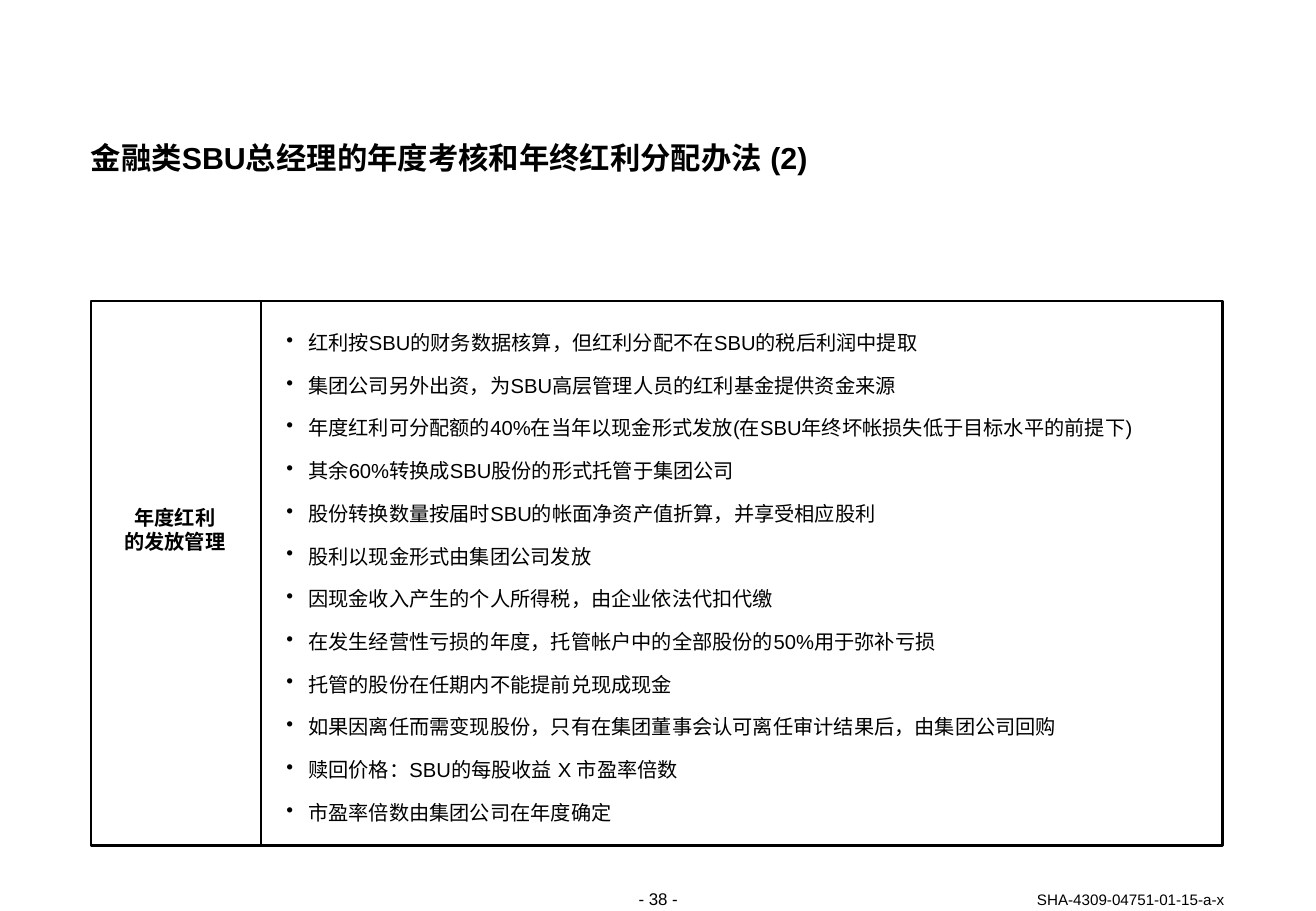
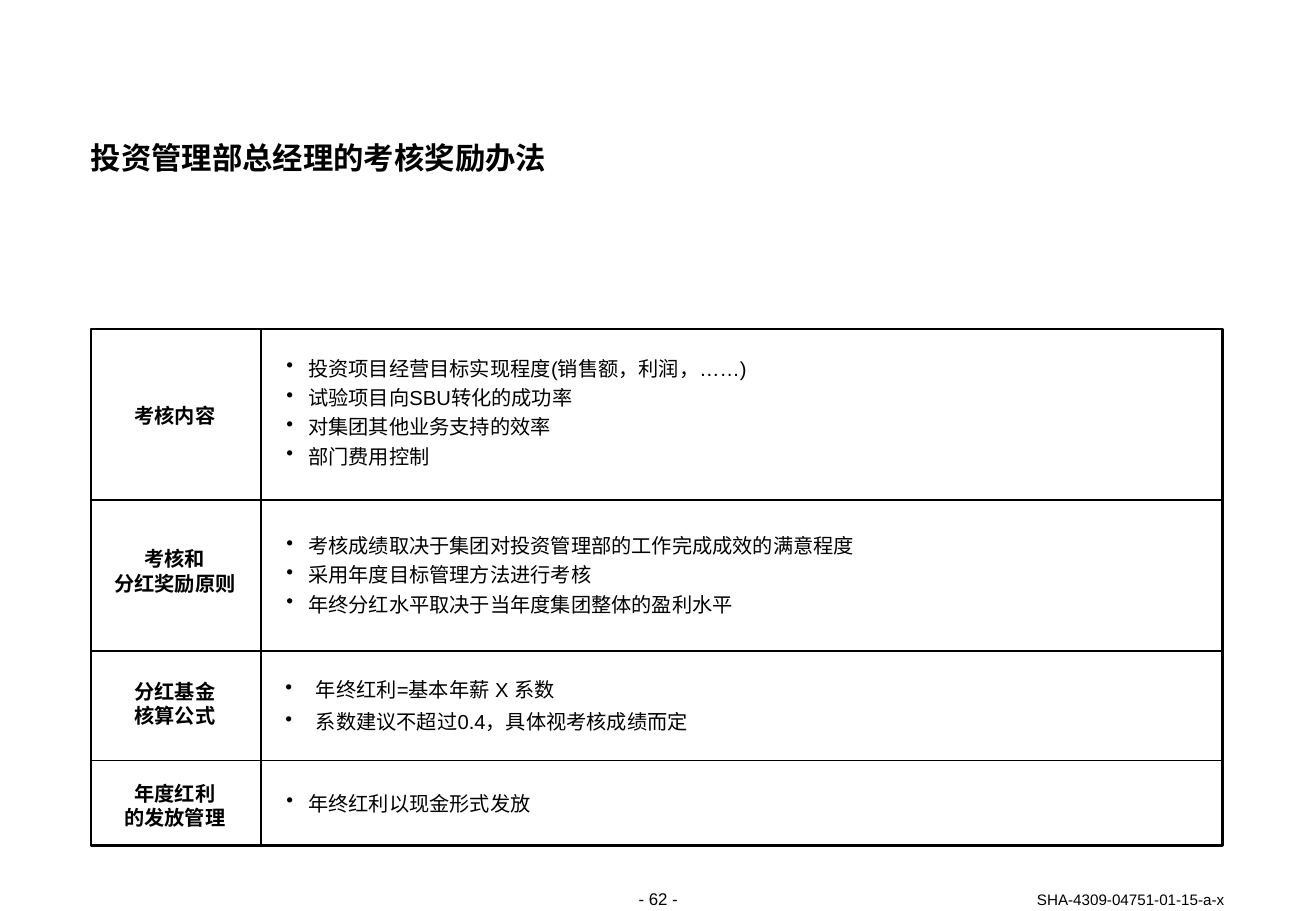
from dataclasses import dataclass

from lxml import etree
from pptx import Presentation
from pptx.dml.color import RGBColor
from pptx.enum.lang import MSO_LANGUAGE_ID
from pptx.enum.shapes import MSO_CONNECTOR, MSO_SHAPE
from pptx.enum.text import MSO_ANCHOR, PP_ALIGN
from pptx.oxml.ns import qn
from pptx.util import Cm, Pt

LEFT, CENTER, RIGHT = PP_ALIGN.LEFT, PP_ALIGN.CENTER, PP_ALIGN.RIGHT
TOP, BOTTOM = MSO_ANCHOR.TOP, MSO_ANCHOR.BOTTOM
STRAIGHT, RECT = MSO_CONNECTOR.STRAIGHT, MSO_SHAPE.RECTANGLE
CHINESE = MSO_LANGUAGE_ID.SIMPLIFIED_CHINESE


@dataclass(frozen=True)
class Theme:
    ink: RGBColor = RGBColor(0, 0, 0)
    paper: RGBColor = RGBColor(255, 255, 255)
    font: str = "Arial"
    title: float = 18
    body: float = 12
    page: float = 10
    code: float = 9
    thick: float = 1.5
    thin: float = 1


@dataclass(frozen=True)
class Box:
    """A place on the slide, in centimetres."""
    left: float
    top: float
    width: float
    height: float


@dataclass(frozen=True)
class Style:
    size: float
    bold: bool = False
    align: PP_ALIGN = LEFT
    anchor: MSO_ANCHOR = TOP
    wrap: bool = True
    pitch: float | Pt | None = None
    gap: float = 0
    indent: float = 0
    hang: float = 0


@dataclass(frozen=True)
class Row:
    """One table band: its top edge, then the tops and texts of both cells."""
    top: float
    head_top: float
    head: str
    list_top: float
    points: tuple[str, ...]
    style: Style


@dataclass(frozen=True)
class Page:
    number: int
    title: str
    split: float
    rows: tuple[Row, ...]


THEME = Theme()
WIDE, HIGH = 27.53, 19.05
EDGE, SPLIT, END, FLOOR = 1.9, 5.46, 25.58, 17.68
HEAD_X, HEAD_W, LIST_X, LIST_W = 2.39, 2.54, 5.97, 19.18
LINE = 0.51
TITLE_BOX = Box(EDGE, 2.97, 23.7, 0.71)
PAGE_BOX = Box(12.32, 18.59, 2.9, 0.43)
CODE_BOX = Box(19.41, 18.62, 6.2, 0.38)
CODE = "SHA-4309-04751-01-15-a-x"

TITLE = Style(THEME.title, bold=True, pitch=Pt(20))
HEAD = Style(THEME.body, bold=True, align=CENTER, wrap=False)
FOOT = Style(THEME.page, align=CENTER)
REF = Style(THEME.code, align=RIGHT, anchor=BOTTOM, pitch=Pt(11))
TIGHT = Style(THEME.body, gap=3, indent=0.48, hang=0.46)
LOOSE = Style(THEME.body, pitch=1.55, gap=3, indent=0.48, hang=0.46)
SUM = Style(THEME.body, pitch=1.3, indent=0.64, hang=0.64)

PAGES = (
    Page(38, "金融类SBU总经理的年度考核和年终红利分配办法 (2)", THEME.thin, (
        Row(6.3, 10.57, "年度红利\n的发放管理", 6.63, (
            "红利按SBU的财务数据核算，但红利分配不在SBU的税后利润中提取",
            "集团公司另外出资，为SBU高层管理人员的红利基金提供资金来源",
            "年度红利可分配额的40%在当年以现金形式发放(在SBU年终坏帐损失低于目标水平的前提下)",
            "其余60%转换成SBU股份的形式托管于集团公司",
            "股份转换数量按届时SBU的帐面净资产值折算，并享受相应股利",
            "股利以现金形式由集团公司发放",
            "因现金收入产生的个人所得税，由企业依法代扣代缴",
            "在发生经营性亏损的年度，托管帐户中的全部股份的50%用于弥补亏损",
            "托管的股份在任期内不能提前兑现成现金",
            "如果因离任而需变现股份，只有在集团董事会认可离任审计结果后，由集团公司回购",
            "赎回价格：SBU的每股收益 X 市盈率倍数",
            "市盈率倍数由集团公司在年度确定",
        ), LOOSE),
    )),
    Page(62, "投资管理部总经理的考核奖励办法", THEME.thick, (
        Row(6.88, 8.43, "考核内容", 7.44, (
            "投资项目经营目标实现程度(销售额，利润，……)",
            "试验项目向SBU转化的成功率",
            "对集团其他业务支持的效率",
            "部门费用控制",
        ), TIGHT),
        Row(10.46, 11.43, "考核和\n分红奖励原则", 11.15, (
            "考核成绩取决于集团对投资管理部的工作完成成效的满意程度",
            "采用年度目标管理方法进行考核",
            "年终分红水平取决于当年度集团整体的盈利水平",
        ), TIGHT),
        Row(13.61, 14.2, "分红基金\n核算公式", 14.02, (
            "年终红利=基本年薪 X 系数",
            "系数建议不超过0.4，具体视考核成绩而定",
        ), SUM),
        Row(15.9, 16.33, "年度红利\n的发放管理", 16.54, (
            "年终红利以现金形式发放",
        ), TIGHT),
    )),
)


def add_bullet(para, style: Style) -> None:
    props = para._p.get_or_add_pPr()
    props.set("marL", str(Cm(style.indent)))
    props.set("indent", str(-Cm(style.hang)))
    tint = etree.SubElement(props, qn("a:buClr"))
    etree.SubElement(tint, qn("a:srgbClr")).set("val", str(THEME.ink))
    etree.SubElement(props, qn("a:buChar")).set("char", "•")


def add_run(para, text: str, style: Style) -> None:
    run = para.add_run()
    run.text = text
    font = run.font
    font.name, font.size, font.bold = THEME.font, Pt(style.size), style.bold
    font.color.rgb = THEME.ink
    font.language_id = CHINESE
    latin = run._r.rPr.find(qn("a:latin"))
    asian = etree.Element(qn("a:ea"))
    asian.set("typeface", THEME.font)
    latin.addnext(asian)


def add_text(slide, box: Box, texts: tuple[str, ...], style: Style) -> None:
    """Writes one paragraph per text; a newline is a line break."""
    shape = slide.shapes.add_textbox(
        Cm(box.left), Cm(box.top), Cm(box.width), Cm(box.height))
    frame = shape.text_frame
    frame.word_wrap, frame.vertical_anchor = style.wrap, style.anchor
    frame.margin_left = frame.margin_right = 0
    frame.margin_top = frame.margin_bottom = 0
    for index, text in enumerate(texts):
        para = frame.add_paragraph() if index else frame.paragraphs[0]
        if style.hang:
            add_bullet(para, style)
        para.alignment = style.align
        if style.pitch:
            para.line_spacing = style.pitch
        if index and style.gap:
            para.space_before = Pt(style.gap)
        for part, words in enumerate(text.split("\n")):
            if part:
                para.add_line_break()
            add_run(para, words, style)


def add_rule(slide, x1: float, y1: float, x2: float, y2: float,
             weight: float) -> None:
    rule = slide.shapes.add_connector(STRAIGHT, Cm(x1), Cm(y1), Cm(x2), Cm(y2))
    rule.line.color.rgb, rule.line.width = THEME.ink, Pt(weight)
    etree.SubElement(rule._element.spPr, qn("a:effectLst"))


def add_grid(slide, page: Page) -> None:
    top = page.rows[0].top
    frame = slide.shapes.add_shape(
        RECT, Cm(EDGE), Cm(top), Cm(END - EDGE), Cm(FLOOR - top))
    frame.shadow.inherit = False
    frame.fill.background()
    frame.line.color.rgb, frame.line.width = THEME.ink, Pt(THEME.thick)
    add_rule(slide, SPLIT, top, SPLIT, FLOOR, page.split)
    for row in page.rows[1:]:
        add_rule(slide, EDGE, row.top, END, row.top, THEME.thin)


def add_row(slide, row: Row) -> None:
    head = Box(HEAD_X, row.head_top, HEAD_W, LINE * len(row.head.split("\n")))
    add_text(slide, head, (row.head,), HEAD)
    step = LINE * (row.style.pitch or 1) + Pt(row.style.gap).cm
    cell = Box(LIST_X, row.list_top, LIST_W, step * len(row.points))
    add_text(slide, cell, row.points, row.style)


def add_page(deck, page: Page) -> None:
    slide = deck.slides.add_slide(deck.slide_layouts[6])
    fill = slide.background.fill
    fill.solid()
    fill.fore_color.rgb = THEME.paper
    add_text(slide, TITLE_BOX, (page.title,), TITLE)
    add_grid(slide, page)
    for row in page.rows:
        add_row(slide, row)
    add_text(slide, PAGE_BOX, (f"- {page.number} -",), FOOT)
    add_text(slide, CODE_BOX, (CODE,), REF)


def main() -> None:
    deck = Presentation()
    deck.slide_width, deck.slide_height = Cm(WIDE), Cm(HIGH)
    for page in PAGES:
        add_page(deck, page)
    deck.save("out.pptx")


if __name__ == "__main__":
    main()
